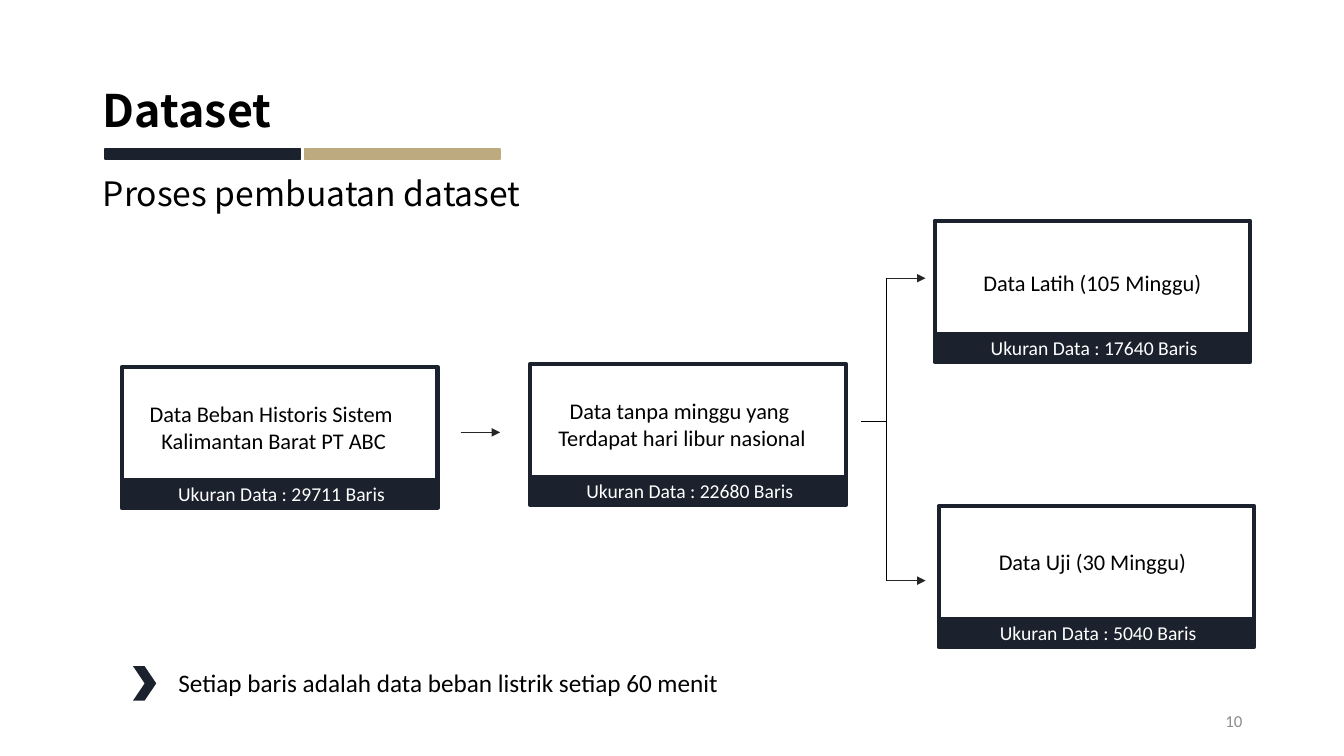
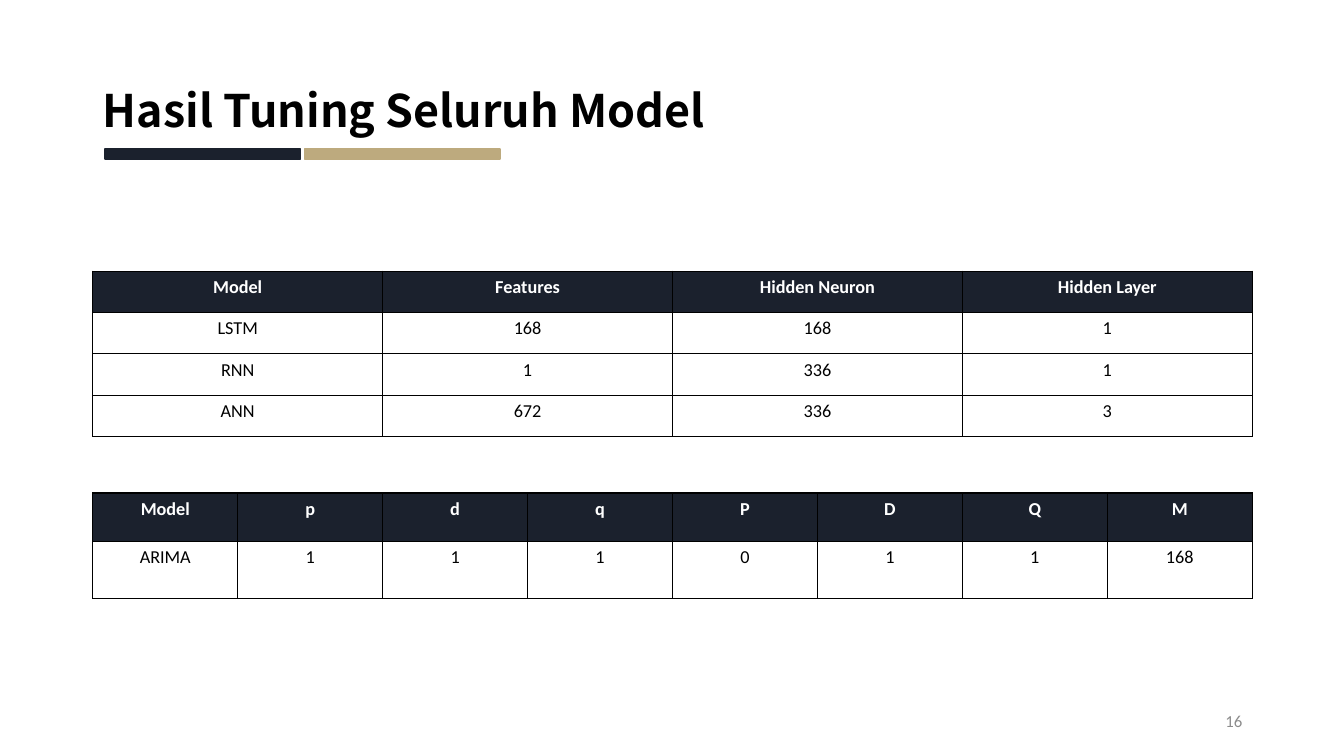
from lxml.etree import SubElement
from pptx import Presentation
from pptx.dml.color import RGBColor
from pptx.enum.shapes import MSO_CONNECTOR, MSO_SHAPE
from pptx.enum.text import MSO_ANCHOR, MSO_AUTO_SIZE, PP_ALIGN
from pptx.oxml.ns import qn
from pptx.util import Inches, Pt

WIDTH, HEIGHT = 13.33, 7.5
LEFT, CONTENT_WIDTH = 0.92, 11.5
NAVY, GOLD, BLACK, WHITE = "1B212D", "BDAA7E", "000000", "FFFFFF"
ARROW_GREY, NUMBER_GREY = "262626", "8C8C8C"
HEADING_FONT, BODY_FONT = "Noto Sans CJK TC", "Calibri"

BOX_WIDTH, BOX_HEIGHT, CAPTION_HEIGHT = 3.13, 1.12, 0.28
STAGES = [
    {"at": (1.21, 3.64), "label_shift": (-0.06, 0.28), "size": "29711",
     "label": ["Data Beban Historis Sistem ", "Kalimantan Barat PT ABC"]},
    {"at": (5.26, 3.61), "label_shift": (-0.06, 0.28), "size": "22680",
     "label": ["Data tanpa minggu yang ", "Terdapat hari libur nasional"]},
    {"at": (9.27, 2.19), "label_shift": (0, 0.43), "size": "17640",
     "label": ["Data Latih (105 Minggu)"]},
    {"at": (9.31, 5.02), "label_shift": (-0.04, 0.37), "size": "5040",
     "label": ["Data Uji (30 Minggu)"]},
]
ARROW_LENGTH = 0.39
ARROW_STARTS = [(4.57, 4.29), (8.79, 2.76), (8.79, 5.76)]
BRANCH_LINES = [((8.54, 4.18), (8.79, 4.18)), ((8.79, 2.76), (8.79, 5.76))]
ROW_NOTE = "Setiap baris adalah data beban listrik setiap 60 menit"

TABLES = [
    {"top": 2.69, "heights": [0.41] * 4, "rows": [
        ("Model", "Features", "Hidden Neuron", "Hidden Layer"),
        ("LSTM", "168", "168", "1"),
        ("RNN", "1", "336", "1"),
        ("ANN", "672", "336", "3")]},
    {"top": 4.89, "heights": [0.48, 0.57], "rows": [
        ("Model", "p", "d", "q", "P", "D", "Q", "M"),
        ("ARIMA", "1", "1", "1", "0", "1", "1", "168")]},
]


def color(value):
    """Turn a hex string into a colour."""
    return RGBColor.from_string(value)


def inches(*values):
    """Turn plain numbers into lengths."""
    return [Inches(value) for value in values]


def write(frame, lines, size, hue=BLACK, font=BODY_FONT, bold=False,
          align=PP_ALIGN.LEFT, spacing=None, before=None):
    """Write one formatted paragraph per line."""
    for index, line in enumerate(lines):
        paragraph = frame.add_paragraph() if index else frame.paragraphs[0]
        paragraph.alignment = align
        if spacing:
            paragraph.line_spacing = spacing
        if before is not None:
            paragraph.space_before = Pt(before)
        run = paragraph.add_run()
        run.text = line
        run.font.size, run.font.name, run.font.bold = Pt(size), font, bold
        run.font.color.rgb = color(hue)


def add_text(slide, box, lines, size, wrap=False, anchor=MSO_ANCHOR.TOP, **style):
    """Add a text box."""
    frame = slide.shapes.add_textbox(*inches(*box)).text_frame
    frame.word_wrap, frame.vertical_anchor = wrap, anchor
    write(frame, lines, size, **style)


def add_block(shapes, box, fill=None, line=None, weight=1, kind=MSO_SHAPE.RECTANGLE):
    """Add a flat preset shape."""
    shape = shapes.add_shape(kind, *inches(*box))
    shape.shadow.inherit = False
    if fill:
        shape.fill.solid()
        shape.fill.fore_color.rgb = color(fill)
    else:
        shape.fill.background()
    if line:
        shape.line.color.rgb, shape.line.width = color(line), Pt(weight)
    else:
        shape.line.fill.background()


def add_line(slide, start, end, hue, weight, arrow=False):
    """Add a straight line, with an arrowhead if asked."""
    line = slide.shapes.add_connector(MSO_CONNECTOR.STRAIGHT, *inches(*start, *end))
    line.line.color.rgb, line.line.width = color(hue), Pt(weight)
    properties = line._element.spPr
    if arrow:
        SubElement(properties.find(qn("a:ln")), qn("a:tailEnd"), type="triangle")
    SubElement(properties, qn("a:effectLst"))


def fill_placeholder(placeholder, box, text, size, anchor, **style):
    """Place a placeholder and write its text without a bullet."""
    placeholder.left, placeholder.top, placeholder.width, placeholder.height = inches(*box)
    frame = placeholder.text_frame
    frame.auto_size, frame.vertical_anchor = MSO_AUTO_SIZE.NONE, anchor
    frame.word_wrap = True
    write(frame, [text], size, font=HEADING_FONT, spacing=0.9, **style)
    properties = frame.paragraphs[0]._p.get_or_add_pPr()
    properties.set("marL", "0")
    properties.set("indent", "0")
    SubElement(properties, qn("a:buNone"))


def add_slide(presentation, layout, title, number):
    """Add a slide with title, two-colour band and slide number."""
    slide = presentation.slides.add_slide(presentation.slide_layouts[layout])
    fill_placeholder(slide.shapes.title, (LEFT, 0.4, CONTENT_WIDTH, 1.45), title, 32,
                     MSO_ANCHOR.MIDDLE, bold=True)
    band = slide.shapes.add_group_shape()
    for index, hue in enumerate((NAVY, GOLD)):
        add_block(band.shapes, (1.04 + index * 1.98, 1.48, 1.94, 0.1), hue, hue)
    add_text(slide, (LEFT + CONTENT_WIDTH - 3, 6.95, 3, 0.4), [number], 12, wrap=True,
             anchor=MSO_ANCHOR.MIDDLE, hue=NUMBER_GREY, align=PP_ALIGN.RIGHT)
    return slide


def add_stage(slide, stage):
    """Add a framed data stage with its size caption."""
    left, top = stage["at"]
    shift, drop = stage["label_shift"]
    bottom = top + BOX_HEIGHT
    add_block(slide.shapes, (left, bottom, BOX_WIDTH, CAPTION_HEIGHT), NAVY, NAVY, 3)
    add_block(slide.shapes, (left, top, BOX_WIDTH, BOX_HEIGHT), line=NAVY, weight=3)
    label_height = 0.1 + 0.27 * len(stage["label"])
    add_text(slide, (left + shift, top + drop, BOX_WIDTH, label_height), stage["label"], 16,
             align=PP_ALIGN.CENTER)
    add_text(slide, (left + 0.04, bottom - 0.03, BOX_WIDTH, 0.34),
             [f"Ukuran Data : {stage['size']} Baris "], 14, hue=WHITE,
             align=PP_ALIGN.CENTER)


def border_cell(cell):
    """Draw a thin black line on every side of a cell."""
    properties = cell._tc.get_or_add_tcPr()
    for index, side in enumerate(("lnL", "lnR", "lnT", "lnB")):
        line = properties.makeelement(qn(f"a:{side}"), {"w": str(Pt(1))})
        fill = SubElement(line, qn("a:solidFill"))
        SubElement(fill, qn("a:srgbClr"), val=BLACK)
        properties.insert(index, line)


def add_result_table(slide, content):
    """Add a table with a dark header row and equal columns."""
    rows, heights = content["rows"], content["heights"]
    count = len(rows[0])
    box = inches(LEFT, content["top"], CONTENT_WIDTH, sum(heights))
    table = slide.shapes.add_table(len(rows), count, *box).table
    table.horz_banding = False
    for column in table.columns:
        column.width = Inches(CONTENT_WIDTH / count)
    for row_index, values in enumerate(rows):
        header = row_index == 0
        table.rows[row_index].height = Inches(heights[row_index])
        for column_index, value in enumerate(values):
            cell = table.cell(row_index, column_index)
            cell.fill.solid()
            cell.fill.fore_color.rgb = color(NAVY if header else WHITE)
            border_cell(cell)
            write(cell.text_frame, [value], 13, hue=WHITE if header else BLACK,
                  bold=header, align=PP_ALIGN.CENTER)


def build_dataset(presentation):
    """Build the data preparation flow."""
    slide = add_slide(presentation, 1, "Dataset", "10")
    fill_placeholder(slide.placeholders[1], (LEFT, 1.71, 4.66, 0.56),
                     "Proses pembuatan dataset", 24, MSO_ANCHOR.TOP, before=10)
    for stage in STAGES:
        add_stage(slide, stage)
    for left, top in ARROW_STARTS:
        add_line(slide, (left, top), (left + ARROW_LENGTH, top), ARROW_GREY, 0.75, True)
    for start, end in BRANCH_LINES:
        add_line(slide, start, end, BLACK, 0.5)
    add_text(slide, (1.67, 6.57, 5.68, 0.4), [ROW_NOTE], 18)
    add_block(slide.shapes, (1.32, 6.61, 0.23, 0.34), NAVY, kind=MSO_SHAPE.CHEVRON)


def build_tuning(presentation):
    """Build the tuning result tables."""
    slide = add_slide(presentation, 5, "Hasil Tuning Seluruh Model", "16")
    for content in TABLES:
        add_result_table(slide, content)


def main():
    """Build and save the presentation."""
    presentation = Presentation()
    presentation.slide_width, presentation.slide_height = inches(WIDTH, HEIGHT)
    build_dataset(presentation)
    build_tuning(presentation)
    presentation.save("out.pptx")


if __name__ == "__main__":
    main()
